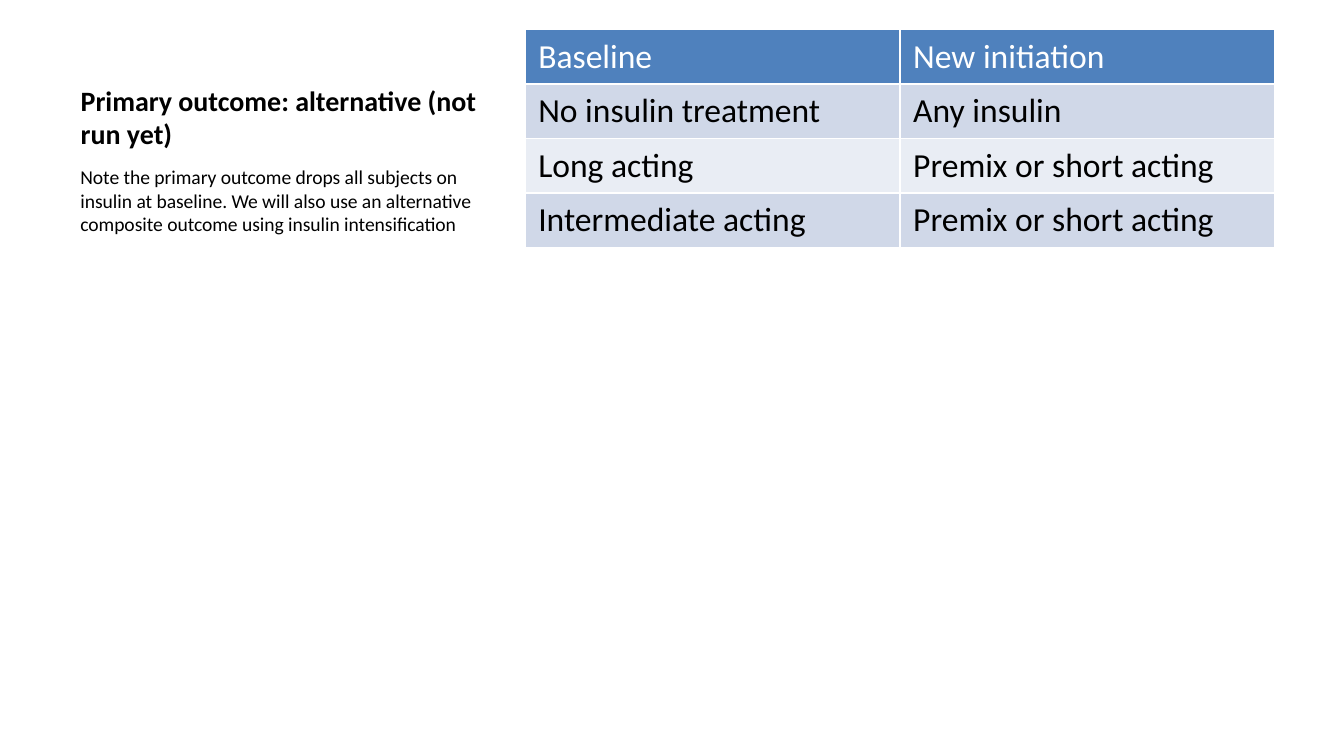
"""Build a slide with a titled note beside a table of insulin initiation outcomes."""
from lxml import etree
from pptx import Presentation
from pptx.dml.color import RGBColor
from pptx.enum import text
from pptx.oxml import ns
from pptx.util import Pt

COLORS = {
    "text": "000000",
    "white": "FFFFFF",
    "header": "4F81BD",
    "odd": "D0D8E8",
    "even": "E9EDF4",
}
FONT = "Calibri"
LEFT, TOP, NOTE_TOP = 36, 15.84, 84.96
TEXT_W, TITLE_H, NOTE_H = 236.88, 68.4, 277.2
TABLE_LEFT, COL_W, ROW_H = 281.16, 200.88, 29.15
TITLE = "Primary outcome: alternative (not run yet)"
NOTE = (
    "Note the primary outcome drops all subjects on insulin at baseline. "
    "We will also use an alternative composite outcome using insulin intensification"
)
ROWS = [
    ("Baseline", "New initiation"),
    ("No insulin treatment", "Any insulin"),
    ("Long acting", "Premix or short acting"),
    ("Intermediate acting", "Premix or short acting"),
]


def rgb(name):
    return RGBColor.from_string(COLORS[name])


def add_run(p, words, size, color="text", bold=False):
    r = p.add_run()
    r.text = words
    r.font.name = FONT
    r.font.size = Pt(size)
    r.font.bold = bold
    r.font.color.rgb = rgb(color)


def prepare_frame(sp, anchor):
    tf = sp.text_frame
    tf.word_wrap = True
    tf.auto_size = text.MSO_AUTO_SIZE.NONE
    tf.vertical_anchor = anchor
    p = tf.paragraphs[0]
    p.alignment = text.PP_ALIGN.LEFT
    return p


def add_title(s):
    sp = s.shapes.title
    sp.left, sp.top, sp.width, sp.height = map(Pt, (LEFT, TOP, TEXT_W, TITLE_H))
    p = prepare_frame(sp, text.MSO_ANCHOR.BOTTOM)
    add_run(p, TITLE, 15, bold=True)


def add_note(s):
    sp = s.shapes.add_textbox(*map(Pt, (LEFT, NOTE_TOP, TEXT_W, NOTE_H)))
    p = prepare_frame(sp, text.MSO_ANCHOR.TOP)
    p.space_before = Pt(2.1)
    add_run(p, NOTE, 10.5)


def set_borders(cell, color, width):
    tc_pr = cell._tc.get_or_add_tcPr()
    for i, side in enumerate(("lnL", "lnR", "lnT", "lnB")):
        ln = etree.Element(ns.qn(f"a:{side}"), w=str(Pt(width)))
        fill = etree.SubElement(ln, ns.qn("a:solidFill"))
        etree.SubElement(fill, ns.qn("a:srgbClr"), val=COLORS[color])
        tc_pr.insert(i, ln)


def fill_cell(cell, words, fill, color):
    cell.fill.solid()
    cell.fill.fore_color.rgb = rgb(fill)
    set_borders(cell, "white", 1)
    add_run(cell.text_frame.paragraphs[0], words, 18, color)


def add_outcome_table(s):
    n_rows, n_cols = len(ROWS), len(ROWS[0])
    box = (TABLE_LEFT, TOP, COL_W * n_cols, ROW_H * n_rows)
    table = s.shapes.add_table(n_rows, n_cols, *map(Pt, box)).table
    for i, row in enumerate(ROWS):
        fill = "header" if i == 0 else "odd" if i % 2 else "even"
        color = "text" if i else "white"
        for j, words in enumerate(row):
            fill_cell(table.cell(i, j), words, fill, color)


def main():
    prs = Presentation()
    prs.slide_width, prs.slide_height = Pt(720), Pt(405)
    s = prs.slides.add_slide(prs.slide_layouts[5])
    add_title(s)
    add_note(s)
    add_outcome_table(s)
    prs.save("out.pptx")


if __name__ == "__main__":
    main()
